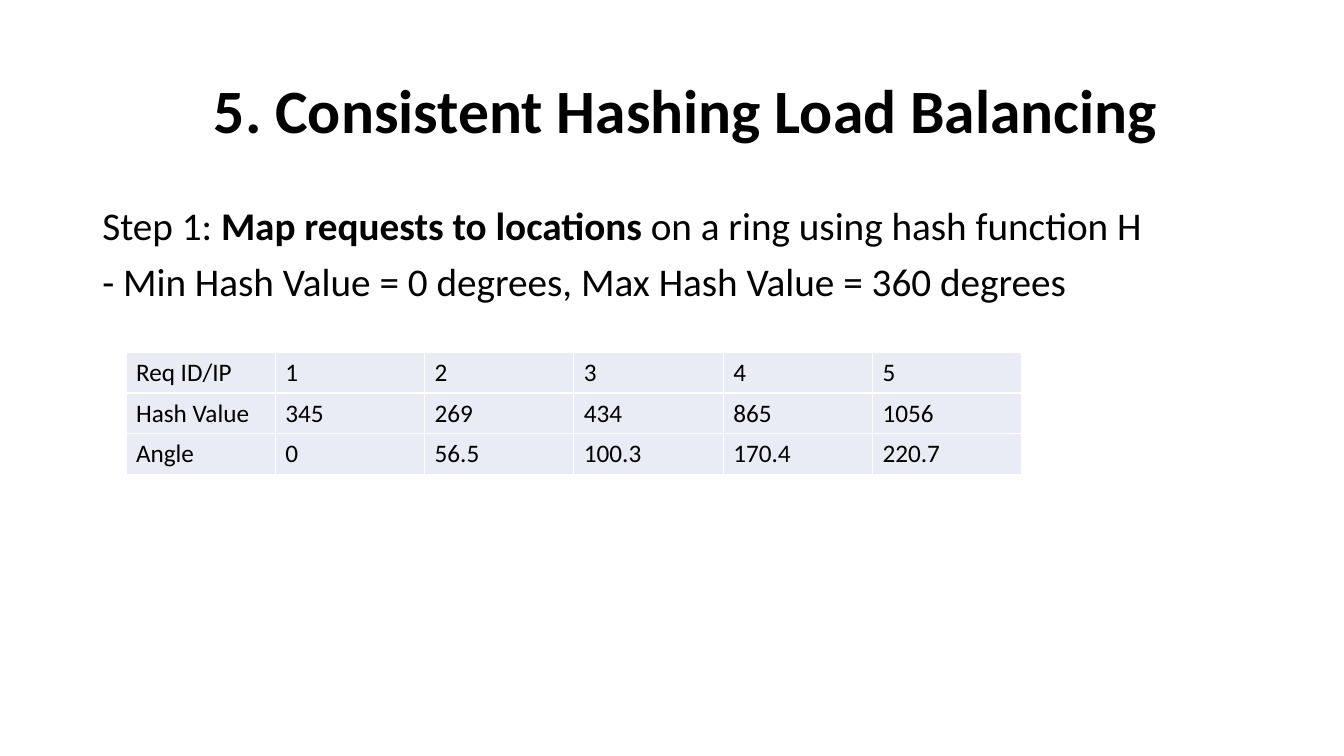
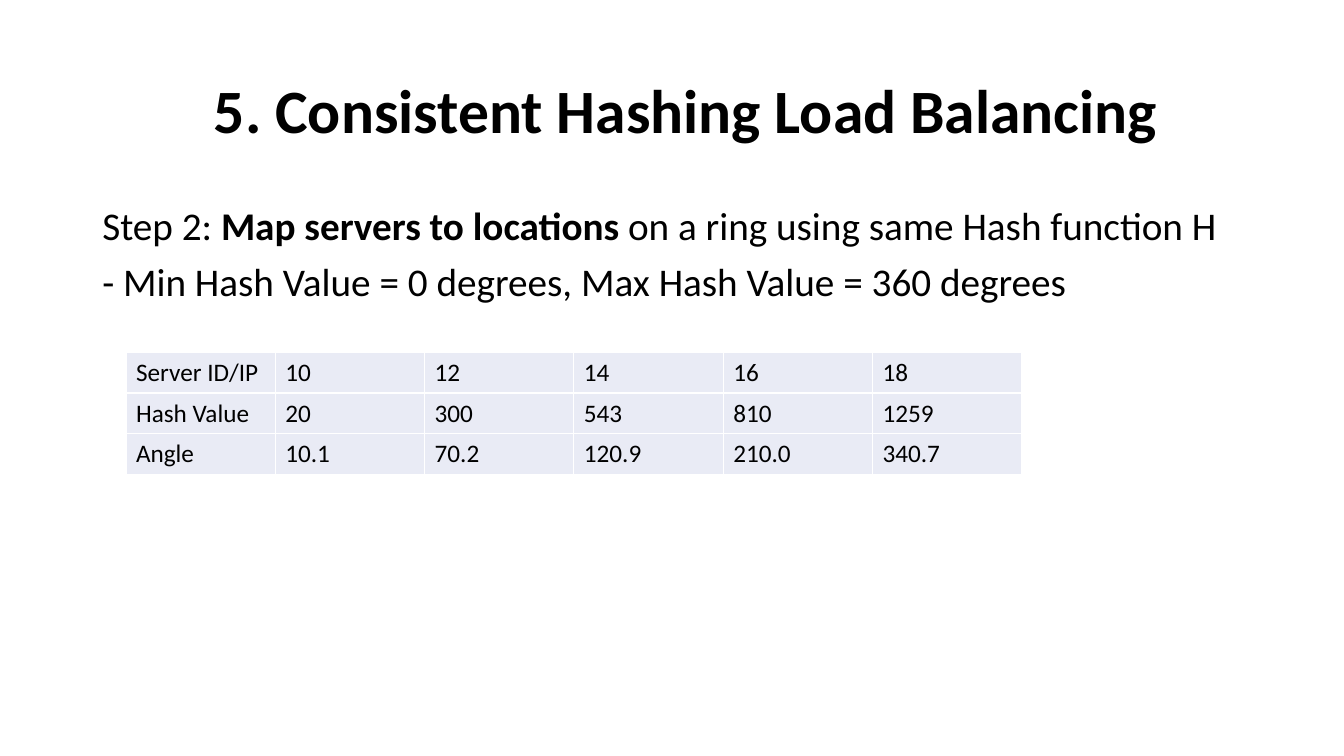
from lxml.etree import SubElement
from pptx import Presentation
from pptx.dml.color import RGBColor
from pptx.enum.text import MSO_ANCHOR
from pptx.oxml.ns import qn
from pptx.util import Pt

# Shared style
FONT = "Calibri"
BLACK = RGBColor(0x00, 0x00, 0x00)
WHITE = RGBColor(0xFF, 0xFF, 0xFF)
CELL_FILL = RGBColor(0xE9, 0xEB, 0xF5)
TITLE_SIZE, BODY_SIZE, TABLE_SIZE = Pt(44), Pt(28), Pt(18)
LEFT, WIDTH = Pt(66), Pt(828)
TITLE_INDENT = Pt(86.8)
TABLE_LEFT, TABLE_TOP = Pt(90), Pt(251.5)
TABLE_WIDTH, ROW_HEIGHT = Pt(640), Pt(29.2)

# Shared wording
TITLE = "5. Consistent Hashing Load Balancing"
RANGE_NOTE = "- Min Hash Value = 0 degrees, Max Hash Value = 360 degrees"

# Each step: sentence as (text, bold) spans, then table rows
STEPS = [
    (
        [("Step 1: ", False), ("Map requests to locations ", True),
         ("on a ring using hash function H", False)],
        [
            ["Req ID/IP", "1", "2", "3", "4", "5"],
            ["Hash Value", "345", "269", "434", "865", "1056"],
            ["Angle", "0", "56.5", "100.3", "170.4", "220.7"],
        ],
    ),
    (
        [("Step 2: ", False), ("Map servers to locations ", True),
         ("on a ring using same Hash function H", False)],
        [
            ["Server ID/IP", "10", "12", "14", "16", "18"],
            ["Hash Value", "20", "300", "543", "810", "1259"],
            ["Angle", "10.1", "70.2", "120.9", "210.0", "340.7"],
        ],
    ),
]


def add_span(para, text, size, bold=False):
    span = para.add_run()
    span.text = text
    span.font.name = FONT
    span.font.size = size
    span.font.bold = bold
    span.font.color.rgb = BLACK


def add_text(page, top, height, paragraphs, size):
    """Add a full-width text box; each paragraph is a list of (text, bold)."""
    frame = page.shapes.add_textbox(LEFT, top, WIDTH, height).text_frame
    frame.word_wrap = True
    for index, spans in enumerate(paragraphs):
        para = frame.add_paragraph() if index else frame.paragraphs[0]
        para.line_spacing = 0.9
        para.space_before = Pt(10 if index else 0)
        for text, bold in spans:
            add_span(para, text, size, bold)
    return frame


def add_title(page):
    frame = add_text(page, Pt(28.8), Pt(104.4), [[(TITLE, True)]], TITLE_SIZE)
    frame.vertical_anchor = MSO_ANCHOR.MIDDLE
    frame.margin_left = TITLE_INDENT


def set_borders(cell):
    properties = cell._tc.get_or_add_tcPr()
    for side in ("a:lnL", "a:lnR", "a:lnT", "a:lnB"):
        line = SubElement(properties, qn(side), w=str(Pt(1)))
        fill = SubElement(line, qn("a:solidFill"))
        SubElement(fill, qn("a:srgbClr"), val=str(WHITE))


def add_hash_table(page, rows):
    table = page.shapes.add_table(
        len(rows), len(rows[0]), TABLE_LEFT, TABLE_TOP,
        TABLE_WIDTH, ROW_HEIGHT * len(rows),
    ).table
    table.first_row = False
    table.horz_banding = False
    for row, values in zip(table.rows, rows):
        for cell, value in zip(row.cells, values):
            set_borders(cell)
            cell.fill.solid()
            cell.fill.fore_color.rgb = CELL_FILL
            add_span(cell.text_frame.paragraphs[0], value, TABLE_SIZE)


def main():
    deck = Presentation()
    deck.slide_width, deck.slide_height = Pt(960), Pt(540)
    blank = deck.slide_layouts[6]
    for sentence, rows in STEPS:
        page = deck.slides.add_slide(blank)
        add_title(page)
        body = [sentence, [(RANGE_NOTE, False)]]
        add_text(page, Pt(144), Pt(342.6), body, BODY_SIZE)
        add_hash_table(page, rows)
    deck.save("out.pptx")


if __name__ == "__main__":
    main()
